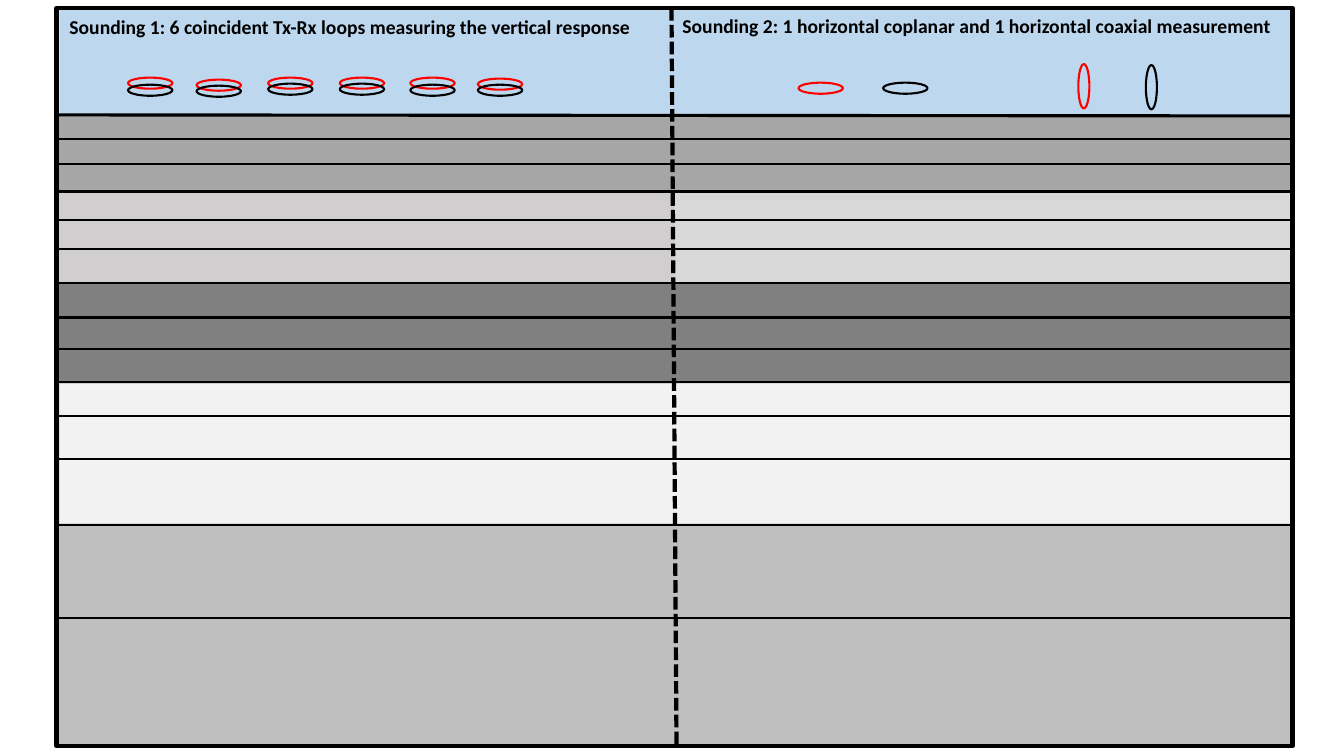
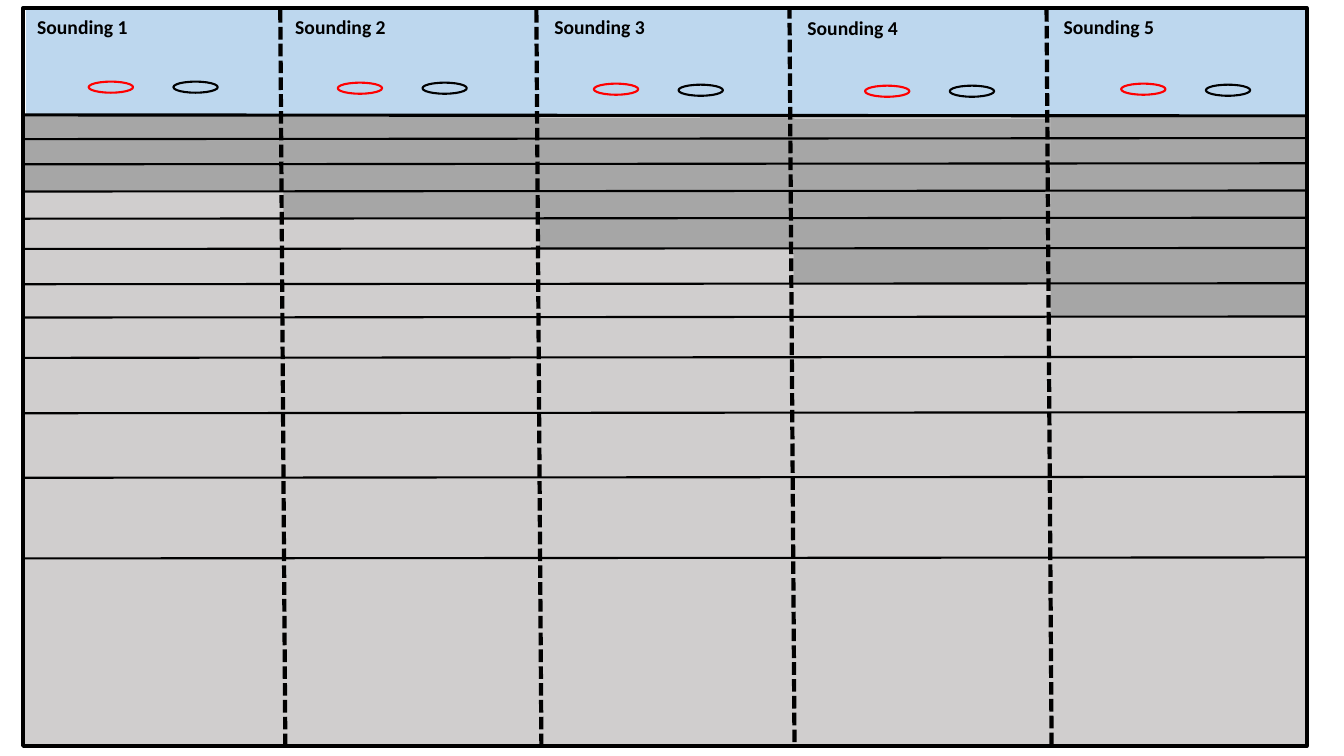
from pptx import Presentation
from pptx.dml.color import RGBColor
from pptx.enum.dml import MSO_LINE
from pptx.enum.shapes import MSO_CONNECTOR, MSO_SHAPE
from pptx.enum.text import MSO_AUTO_SIZE
from pptx.oxml.ns import qn
from pptx.util import Inches, Pt
from lxml import etree

RECT, OVAL = MSO_SHAPE.RECTANGLE, MSO_SHAPE.OVAL
STRAIGHT, DASH = MSO_CONNECTOR.STRAIGHT, MSO_LINE.SQUARE_DOT
GROW = MSO_AUTO_SIZE.SHAPE_TO_FIT_TEXT

# Shared style
FONT, SIZE = "Calibri", 14
BLACK, RED = "000000", "FF0000"
SKY, EARTH, TOPSOIL = "BDD7EE", "D0CECE", "A6A6A6"
TOP, GROUND, DEPTH = 0.08, 1.15, 7.32
THIN, MEDIUM, THICK = 1.5, 2.25, 3
LOOP_W, LOOP_H = 0.44, 0.11


def color(code):
    return RGBColor.from_string(code)


class Deck:
    def __init__(self):
        self.prs = Presentation()
        self.prs.slide_width = Inches(13.33)
        self.prs.slide_height = Inches(7.5)

    def start(self, left, width):
        """Add a slide whose section spans the given width."""
        self.left, self.width = left, width
        self.shapes = self.prs.slides.add_slide(self.prs.slide_layouts[6]).shapes
        self.block(left + 0.03, TOP, width - 0.03, 6.91, SKY)
        self.block(left, GROUND, width, 6.27, EARTH)

    def shape(self, kind, x, y, w, h):
        item = self.shapes.add_shape(kind, Inches(x), Inches(y), Inches(w), Inches(h))
        item.shadow.inherit = False
        return item

    def block(self, x, y, w, h, fill):
        item = self.shape(RECT, x, y, w, h)
        item.fill.solid()
        item.fill.fore_color.rgb = color(fill)
        item.line.fill.background()

    def outline(self, kind, x, y, w, h, ink, weight):
        item = self.shape(kind, x, y, w, h)
        item.fill.background()
        item.line.color.rgb = color(ink)
        item.line.width = Pt(weight)
        return item

    def frame(self):
        self.outline(RECT, self.left, TOP, self.width, DEPTH, BLACK, THICK)

    def loop(self, x, y, ink, turn=0):
        self.outline(OVAL, x, y, LOOP_W, LOOP_H, ink, THIN).rotation = turn

    def line(self, x1, y1, x2, y2, weight, dash=None):
        item = self.shapes.add_connector(
            STRAIGHT, Inches(x1), Inches(y1), Inches(x2), Inches(y2))
        item.line.color.rgb = color(BLACK)
        item.line.width = Pt(weight)
        if dash:
            item.line.dash_style = dash
        etree.SubElement(item._element.spPr, qn("a:effectLst"))

    def layers(self, depths, rise=0):
        """Draw the ground line and the layer boundaries."""
        right = self.left + self.width
        self.line(self.left, 1.14, right, 1.15, MEDIUM)
        for y in depths:
            self.line(self.left, y, right, y - rise, THIN)

    def divide(self, x, y=0.1):
        self.line(x, y, x + 0.05, y + DEPTH, THICK, DASH)

    def label(self, x, y, w, text):
        box = self.shapes.add_textbox(Inches(x), Inches(y), Inches(w), Inches(0.34))
        box.text_frame.word_wrap = True
        box.text_frame.auto_size = GROW
        box.text_frame.text = text
        font = box.text_frame.paragraphs[0].font
        font.name, font.size, font.bold = FONT, Pt(SIZE), True
        font.color.rgb = color(BLACK)


deck = Deck()

# Slide 1: two soundings over a layered earth
deck.start(0.56, 12.26)
deck.block(6.69, GROUND, 6.13, 6.25, "D9D9D9")
for x, y, w, h, fill in [
    (0.56, 5.22, 12.26, 2.2, "BFBFBF"),
    (0.56, 2.8, 12.25, 0.98, "808080"),
    (0.56, GROUND, 12.26, 0.74, TOPSOIL),
    (0.59, 3.81, 12.22, 1.38, "F2F2F2"),
]:
    deck.block(x, y, w, h, fill)
deck.frame()
deck.divide(6.66, TOP)
deck.layers([1.38, 1.63, 1.9, 2.18, 2.47, 2.81, 3.15, 3.46, 3.79,
             4.13, 4.55, 5.21, 6.13])
deck.label(0.59, 0.1, 6.1,
           "Sounding 1: 6 coincident Tx-Rx loops measuring the vertical response")
deck.label(6.67, 0.09, 6.14,
           "Sounding 2: 1 horizontal coplanar and 1 horizontal coaxial measurement")

# Coincident loop pairs
for x, red, black in [(1.27, 0.77, 0.84), (1.95, 0.79, 0.85), (2.66, 0.77, 0.83),
                      (3.37, 0.77, 0.83), (4.07, 0.77, 0.84), (4.74, 0.78, 0.84)]:
    deck.loop(x, red, RED)
    deck.loop(x, black, BLACK)

# Coplanar pair, then coaxial pair
deck.loop(7.92, 0.82, RED)
deck.loop(8.76, 0.82, BLACK)
deck.loop(10.53, 0.8, RED, 270)
deck.loop(11.2, 0.81, BLACK, 270)

# Slide 2: five soundings with a deepening top layer
deck.start(0.23, 12.73)
# Each row: topsoil (left, top, width, base), label (left, top), loops (left, red top, black top)
soundings = [
    ((0.23, 1.15, 2.6, 1.89), (0.27, 0.1), (0.88, 0.81, 0.81)),
    ((2.81, 1.16, 2.55, 2.16), (2.83, 0.1), (3.35, 0.82, 0.82)),
    ((5.35, 1.17, 2.53, 2.46), (5.4, 0.1), (5.89, 0.83, 0.84)),
    ((7.87, 1.18, 2.55, 2.81), (7.91, 0.11), (8.58, 0.85, 0.85)),
    ((10.42, 1.17, 2.55, 3.15), (10.45, 0.1), (11.12, 0.83, 0.84)),
]
for (x, y, w, base), _, _ in soundings:
    deck.block(x, y, w, base - y, TOPSOIL)
deck.layers([1.38, 1.63, 1.9, 2.17, 2.47, 2.82, 3.15, 3.55, 4.1, 4.74, 5.54], 0.01)
deck.frame()
for x, y in [(2.78, 0.1), (5.32, 0.1), (7.83, 0.06), (10.38, 0.09)]:
    deck.divide(x, y)
for number, (_, (x, y), (start, red, black)) in enumerate(soundings, 1):
    deck.label(x, y, 1.14, f"Sounding {number}")
    deck.loop(start, red, RED)
    deck.loop(start + 0.84, black, BLACK)

deck.prs.save("out.pptx")
